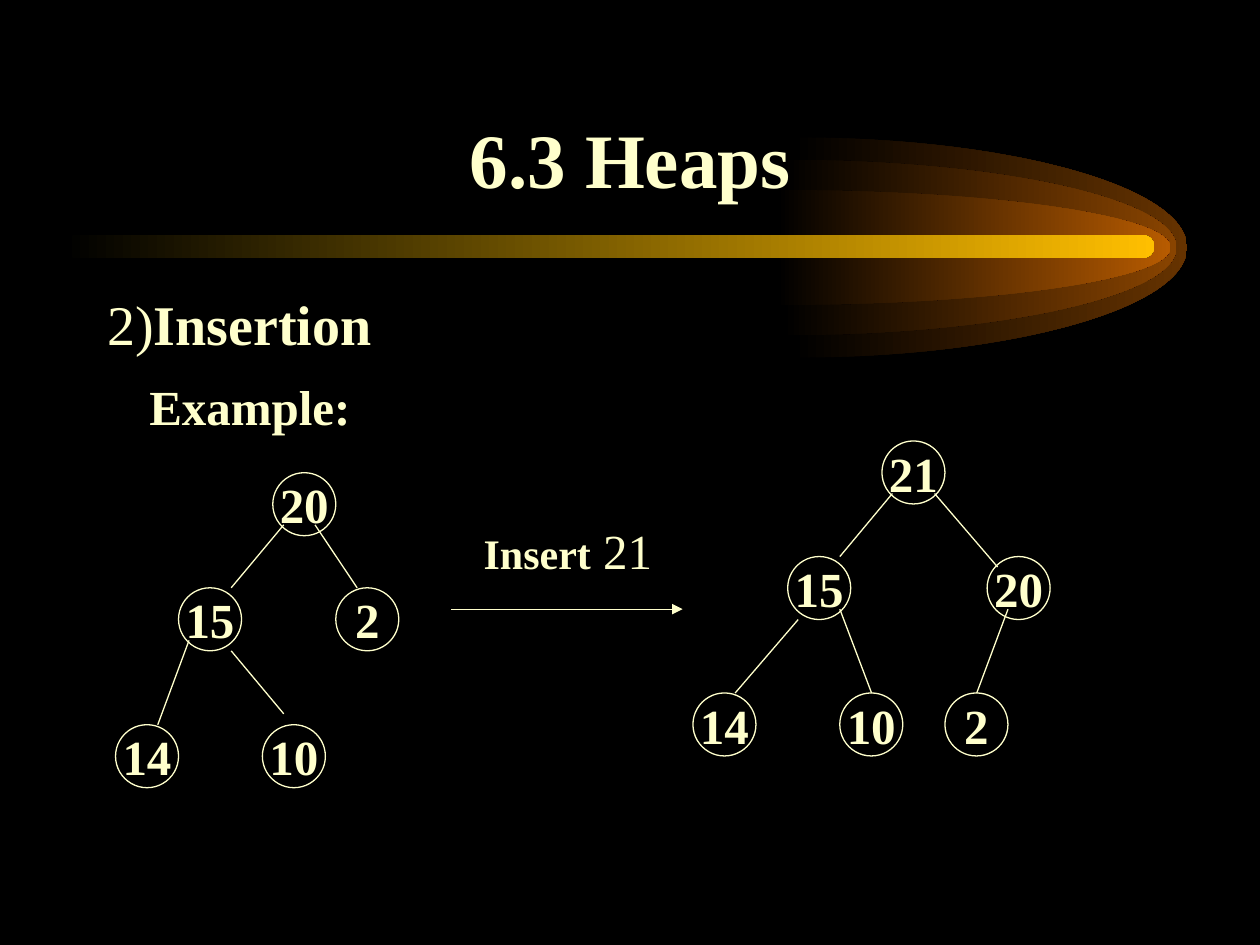
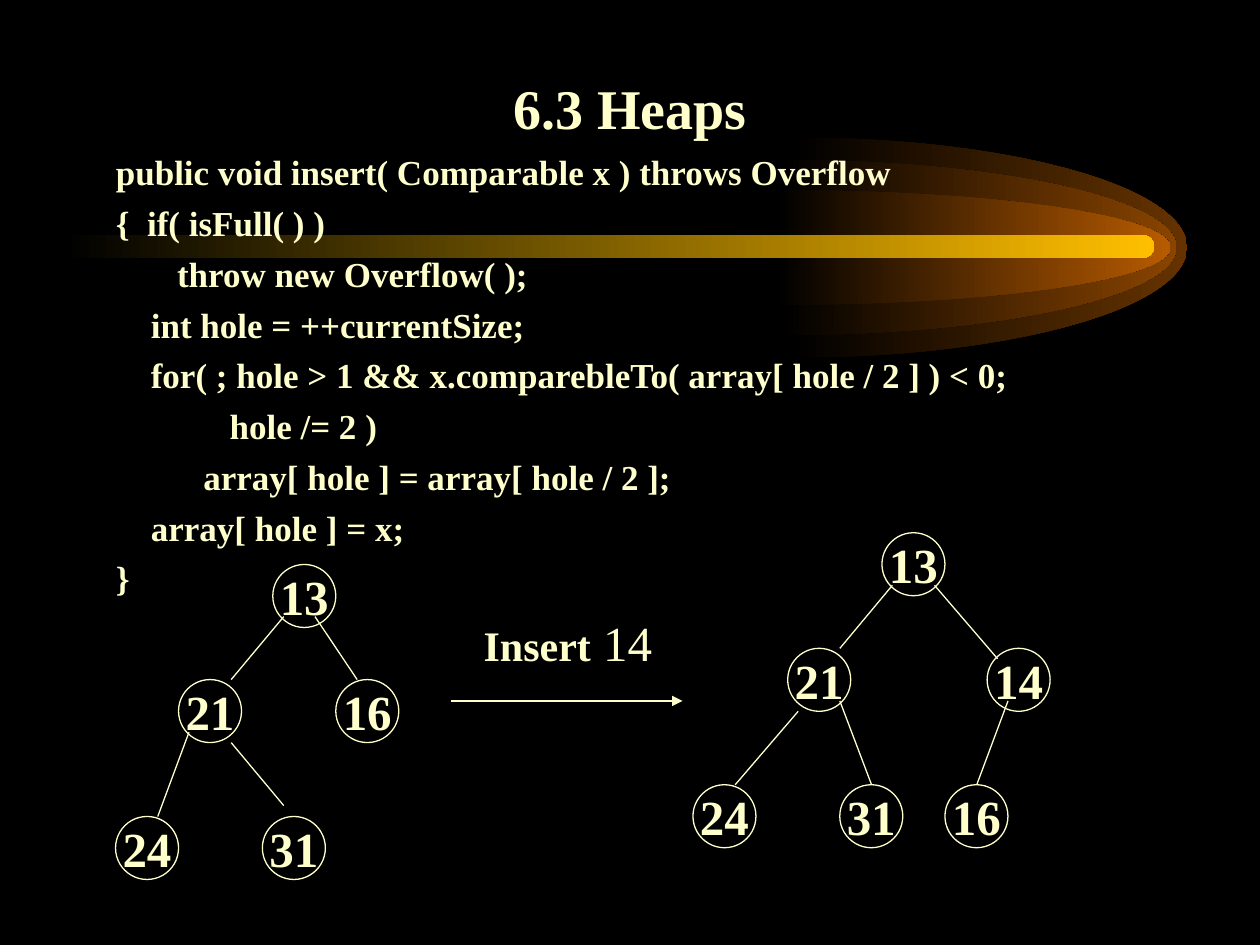
from lxml import etree
from pptx import Presentation
from pptx.dml.color import RGBColor
from pptx.enum.shapes import MSO_CONNECTOR, MSO_SHAPE
from pptx.enum.text import MSO_ANCHOR, PP_ALIGN
from pptx.oxml.ns import qn
from pptx.util import Cm, Pt

OVAL, ROUND = MSO_SHAPE.OVAL, MSO_SHAPE.ROUNDED_RECTANGLE
LINE = MSO_CONNECTOR.STRAIGHT
TOP, MID, LOW = MSO_ANCHOR.TOP, MSO_ANCHOR.MIDDLE, MSO_ANCHOR.BOTTOM
LEFT, CENTER = PP_ALIGN.LEFT, PP_ALIGN.CENTER
FONT, CREAM, BLACK = "Times New Roman", "FFFFCC", "000000"


def paint(target, *tones):
    """Colour a font or line, or fill a shape with a left-to-right blend."""
    if len(tones) == 1:
        target.color.rgb = RGBColor.from_string(tones[0])
        return
    target.fill.gradient()
    target.fill.gradient_angle = 0
    for stop, tone in zip(target.fill.gradient_stops, tones):
        stop.color.rgb = RGBColor.from_string(tone)
    target.line.fill.background()
    target.shadow.inherit = False


def write(shape, lines, anchor=TOP, align=LEFT, wrap=True):
    """Fill a shape with lines, each a list of (text, size, bold) runs."""
    frame = shape.text_frame
    frame.word_wrap = wrap
    frame.vertical_anchor = anchor
    for i, runs in enumerate(lines):
        para = frame.add_paragraph() if i else frame.paragraphs[0]
        para.alignment = align
        para.font.name = FONT
        paint(para.font, CREAM)
        if len({run[1:] for run in runs}) == 1:
            para.font.size, para.font.bold = Pt(runs[0][1]), runs[0][2]
        for text, size, bold in runs:
            run = para.add_run()
            run.text = text
            if len(runs) > 1:
                run.font.size, run.font.bold = Pt(size), bold
    return frame.paragraphs


# Shared glow: left edge, half height, outer tone
glows = [(15.98, 2.22, "663300"), (15.77, 1.77, "894400"), (15.65, 1.16, "B75B00")]
reach, axis, bend = 7.95, 4.99, 0.55
# Half ellipse in units of reach and half height: two curves, then the hub
arc = [(bend, -1), (1, -bend), (1, 0), (1, bend), (bend, 1), (0, 1), (0, 0)]

# Shared trees: node corners, then edges, in cm on the first slide
node = 1.27
spots = [
    (5.5, 9.53), (3.6, 11.85), (6.77, 11.85), (2.33, 14.61), (5.29, 14.61),
    (17.78, 8.89), (15.88, 11.22), (19.9, 11.22),
    (13.97, 13.97), (16.93, 13.97), (19.05, 13.97),
]
edges = [
    (5.72, 10.58, 4.66, 11.85), (6.35, 10.58, 7.2, 11.85),
    (3.81, 12.91, 3.18, 14.61), (4.66, 13.12, 5.72, 14.39),
    (17.99, 9.95, 16.93, 11.22), (18.84, 9.95, 20.11, 11.43),
    (16.09, 12.49, 14.82, 13.97), (16.93, 12.28, 17.57, 13.97),
    (20.32, 12.28, 19.69, 13.97),
]
arrow = (9.1, 12.28, 13.76, 12.28)

code = """ public void insert( Comparable x ) throws Overflow
 {  if( isFull( ) )
        throw new Overflow( );
     int hole = ++currentSize;
     for( ; hole > 1 && x.comparebleTo( array[ hole / 2 ] ) < 0;
              hole /= 2 )
           array[ hole ] = array[ hole / 2 ];
     array[ hole ] = x;
 }""".split("\n")

# Per slide: title size and height, tree drop, inserted key, node keys
pages = [
    (44, 3.18, 0, "21", [20, 15, 2, 14, 10, 21, 15, 20, 14, 10, 2]),
    (32, 1.91, 1.85, "14", [13, 21, 16, 24, 31, 13, 21, 14, 24, 31, 16]),
]

deck = Presentation()
deck.slide_width, deck.slide_height = Cm(25.4), Cm(19.05)

for size, tall, drop, key, keys in pages:
    slide = deck.slides.add_slide(deck.slide_layouts[6])
    back = slide.background.fill
    back.solid()
    back.fore_color.rgb = RGBColor.from_string(BLACK)
    shapes = slide.shapes

    # Glow: the first six points become two curves
    for x, half, tone in glows:
        pen = shapes.build_freeform(Cm(x), Cm(axis - half))
        pen.add_line_segments([(Cm(x + reach * u), Cm(axis + half * v)) for u, v in arc])
        glow = pen.convert_to_shape()
        steps = list(glow._element.iter(qn("a:lnTo")))
        for trio in (steps[:3], steps[3:6]):
            curve = etree.Element(qn("a:cubicBezTo"))
            trio[0].addprevious(curve)
            for step in trio:
                curve.append(step[0])
                step.getparent().remove(step)
        paint(glow, BLACK, tone)

    # Bar
    bar = shapes.add_shape(ROUND, Cm(1.27), Cm(4.74), Cm(22), Cm(0.46))
    bar.adjustments[0] = 0.5
    paint(bar, BLACK, "FFBF00")

    # Title
    title = shapes.add_textbox(Cm(1.91), Cm(1.06), Cm(21.59), Cm(tall))
    write(title, [[("6.3 Heaps", size, True)]], LOW, CENTER)

    # Heading or code
    if drop:
        body = shapes.add_textbox(Cm(1.91), Cm(2.74), Cm(22.71), Cm(9.37))
        for para in write(body, [[(line, 20, True)] for line in code]):
            para.line_spacing = Pt(29)
    else:
        body = shapes.add_textbox(Cm(1.91), Cm(5.72), Cm(21.59), Cm(11.43))
        head = [("2)", 32, False), ("Insertion", 32, True)]
        lines = write(body, [head, [("Example:", 28, True)]])
        lines[1].space_before = Pt(11)
        lines[1]._p.get_or_add_pPr().set("marL", str(Cm(0.85)))

    # Tree nodes
    for (x, y), value in zip(spots, keys):
        ring = shapes.add_shape(OVAL, Cm(x), Cm(y + drop), Cm(node), Cm(node))
        ring.shadow.inherit = False
        ring.fill.background()
        paint(ring.line, CREAM)
        ring.line.width = Pt(0.75)
        write(ring, [[(str(value), 28, True)]], MID, CENTER, False)

    # Tree edges and arrow
    for x1, y1, x2, y2 in edges + [arrow]:
        link = shapes.add_connector(LINE, Cm(x1), Cm(y1 + drop), Cm(x2), Cm(y2 + drop))
        paint(link.line, CREAM)
        link.line.width = Pt(0.75)
        etree.SubElement(link._element.spPr, qn("a:effectLst"))
    tip = etree.Element(qn("a:tailEnd"), type="triangle")
    link.line._get_or_add_ln().append(tip)

    # Arrow label
    label = shapes.add_textbox(Cm(9.5), Cm(10.37 + drop), Cm(4.27), Cm(1.45))
    write(label, [[("Insert", 24, True), (" " + key, 28, False)]])

deck.save("out.pptx")
